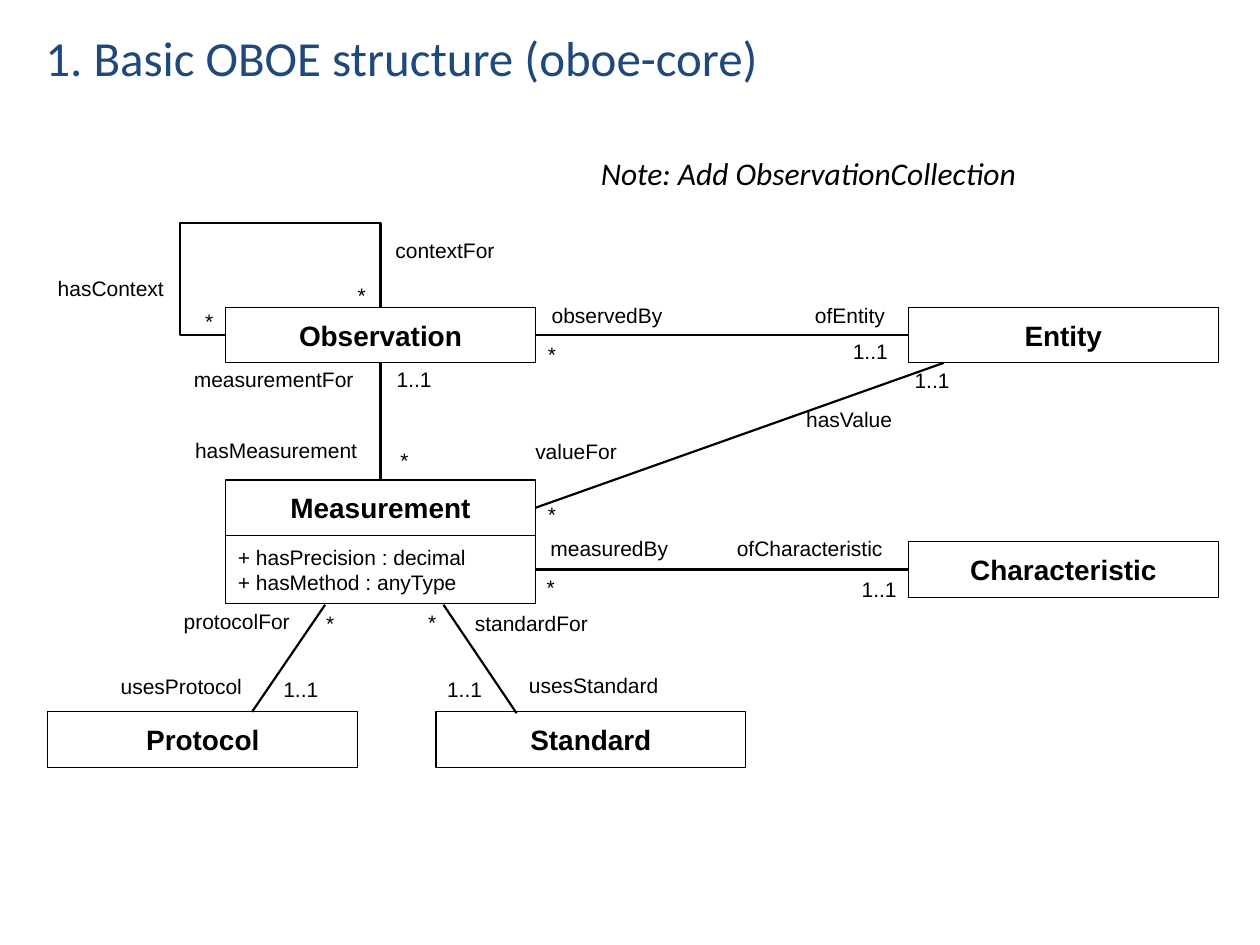
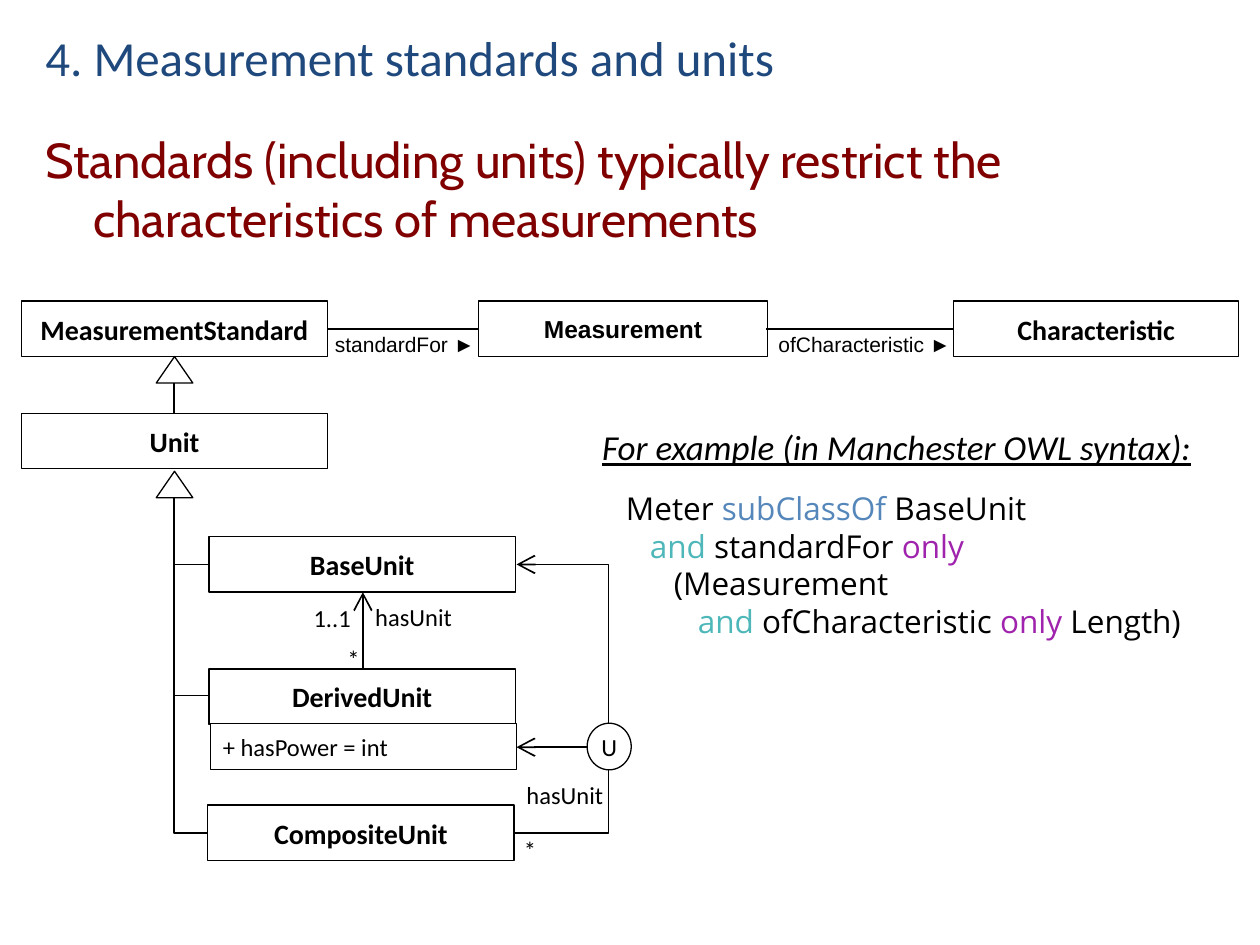
"""Build two class-diagram slides about the OBOE observation model."""
from dataclasses import dataclass
from typing import NamedTuple

from lxml.etree import SubElement
from pptx import Presentation
from pptx.dml.color import RGBColor
from pptx.enum.shapes import MSO_CONNECTOR, MSO_SHAPE
from pptx.enum.text import MSO_ANCHOR, MSO_AUTO_SIZE, PP_ALIGN
from pptx.oxml.ns import qn
from pptx.shapes.autoshape import Shape
from pptx.slide import Slide
from pptx.util import Inches, Pt


class TextStyle(NamedTuple):
    font: str
    size: int
    color: str = "000000"
    bold: bool = False
    italic: bool = False
    underline: bool = False


@dataclass(frozen=True)
class Theme:
    ink: str = "000000"
    paper: str = "FFFFFF"
    subclass: str = "5587BB"
    conjunction: str = "4EB7B9"
    restriction: str = "9F23AC"
    outline: float = 0.75
    title: TextStyle = TextStyle("Calibri", 28, "1F497D")
    statement: TextStyle = TextStyle("Cabin", 28, "800000")
    note: TextStyle = TextStyle("Calibri", 18, italic=True)
    arial_class: TextStyle = TextStyle("Arial", 16, bold=True)
    small_class: TextStyle = TextStyle("Arial", 14, bold=True)
    calibri_class: TextStyle = TextStyle("Calibri", 16, bold=True)
    arial_label: TextStyle = TextStyle("Arial", 12)
    calibri_label: TextStyle = TextStyle("Calibri", 14)
    example: TextStyle = TextStyle("Calibri", 20, italic=True, underline=True)
    syntax: TextStyle = TextStyle("Open Sans", 18)


THEME = Theme()
CLASS_HEIGHT = 0.44


class Box(NamedTuple):
    text: str
    left: float
    top: float
    width: float
    style: TextStyle
    height: float = CLASS_HEIGHT
    align: PP_ALIGN = PP_ALIGN.CENTER
    shape: MSO_SHAPE = MSO_SHAPE.RECTANGLE
    side_inset: float = 0.1


class Label(NamedTuple):
    text: str
    left: float
    top: float
    width: float


class Link(NamedTuple):
    start: tuple[float, float]
    end: tuple[float, float]
    preset: str = "line"
    adjustments: tuple[int, ...] = ()
    arrow: str = ""


class Span(NamedTuple):
    text: str
    color: str = THEME.ink


CORE_CLASSES = [
    Box(name, left, top, 2.46, THEME.arial_class)
    for name, left, top in [
        ("Entity", 7.21, 2.44),
        ("Characteristic", 7.21, 4.3),
        ("Observation", 1.79, 2.44),
        ("Measurement", 1.79, 3.81),
        ("Protocol", 0.38, 5.65),
        ("Standard", 3.46, 5.65),
    ]
] + [
    Box("+ hasPrecision : decimal\n+ hasMethod : anyType", 1.79, 4.25, 2.46,
        THEME.arial_label, 0.54, PP_ALIGN.LEFT),
]
CORE_LINKS = [
    Link((4.25, 4.52), (7.21, 4.52)),
    Link((3.02, 3.81), (3.02, 2.88)),
    Link((3.52, 4.8), (4.1, 5.66)),
    Link((2.58, 4.8), (2, 5.65)),
    Link((1.79, 2.66), (3.02, 2.44), "bentConnector4", (-29300, 404500)),
    Link((4.25, 2.66), (7.21, 2.66)),
    Link((4.25, 4.03), (7.49, 2.88)),
]
CORE_LABELS = [
    Label("measurementFor", 1.44, 2.86, 1.48),
    Label("hasMeasurement", 1.45, 3.42, 1.5),
    Label("ofCharacteristic", 5.75, 4.2, 1.37),
    Label("usesProtocol", 0.86, 5.3, 1.17),
    Label("usesStandard", 4.1, 5.29, 1.24),
    Label("ofEntity", 6.37, 2.35, 0.76),
    Label("hasContext", 0.36, 2.14, 1.05),
    Label("hasValue", 6.3, 3.18, 0.89),
    Label("standardFor", 3.67, 4.8, 1.11),
    Label("protocolFor", 1.36, 4.78, 1.06),
    Label("valueFor", 4.15, 3.43, 0.86),
    Label("observedBy", 4.28, 2.35, 1.09),
    Label("contextFor", 3.04, 1.84, 1),
    Label("measuredBy", 4.27, 4.2, 1.15),
] + [
    Label("1..1", left, top, 0.48)
    for left, top in [(6.67, 2.64), (3.05, 2.86), (2.15, 5.32),
                      (3.45, 5.32), (6.74, 4.53), (7.16, 2.87)]
] + [
    Label("*", left, top, 0.27)
    for left, top in [(1.53, 2.4), (2.74, 2.19), (4.25, 2.66), (3.08, 3.5),
                      (3.3, 4.79), (2.49, 4.8), (4.25, 3.93), (4.24, 4.51)]
]

UNIT_CLASSES = [
    Box(name, left, top, 2.43, THEME.calibri_class)
    for name, left, top in [
        ("MeasurementStandard", 0.17, 2.39),
        ("Unit", 0.17, 3.28),
        ("BaseUnit", 1.66, 4.26),
        ("DerivedUnit", 1.66, 5.31),
        ("CompositeUnit", 1.65, 6.39),
    ]
] + [
    Box("+ hasPower = int", 1.67, 5.74, 2.43, THEME.calibri_label, 0.37, PP_ALIGN.LEFT),
    Box("Characteristic", 7.57, 2.39, 2.26, THEME.calibri_class),
    Box("Measurement", 3.8, 2.39, 2.29, THEME.small_class),
    Box("U", 4.66, 5.74, 0.35, THEME.calibri_label, 0.37,
        shape=MSO_SHAPE.OVAL, side_inset=0),
]
UNIT_LINKS = [
    Link((left, middle), (1.38, 3.95), "bentConnector2")
    for left, middle in [(1.66, 4.48), (1.66, 5.52), (1.65, 6.61)]
] + [
    Link((1.38, 3.04), (1.38, 3.28)),
    Link((2.88, 5.31), (2.88, 4.7), arrow="tailEnd"),
    Link((4.08, 6.61), (4.83, 6.11), "bentConnector2"),
    Link((4.66, 5.93), (4.1, 5.93), arrow="tailEnd"),
    Link((4.1, 4.48), (4.83, 5.74), "bentConnector2", arrow="headEnd"),
    Link((2.6, 2.61), (3.8, 2.61)),
    Link((6.08, 2.61), (7.57, 2.61)),
]
UNIT_LABELS = [
    Label("hasUnit", 2.88, 4.73, 1.24),
    Label("1..1", 2.39, 4.74, 0.65),
    Label("*", 2.66, 5.06, 0.26),
    Label("hasUnit", 4.08, 6.14, 1.06),
    Label("*", 4.06, 6.58, 0.51),
]
DIRECTION_LABELS = [
    Label("standardFor ►", 2.56, 2.58, 1.32),
    Label("ofCharacteristic ►", 6.08, 2.58, 1.58),
]
SYNTAX_LINES = [
    [Span("Meter "), Span("subClassOf ", THEME.subclass), Span("BaseUnit")],
    [Span("and ", THEME.conjunction), Span("standardFor "), Span("only", THEME.restriction)],
    [Span("(Measurement")],
    [Span("and ", THEME.conjunction), Span("ofCharacteristic "),
     Span("only", THEME.restriction), Span(" Length)")],
]


def apply_style(font, style: TextStyle) -> None:
    font.name = style.font
    font.size = Pt(style.size)
    font.bold = style.bold
    font.italic = style.italic
    font.underline = style.underline
    font.color.rgb = RGBColor.from_string(style.color)


def place(shape: Shape, left: float, top: float, width: float, height: float) -> None:
    shape.left, shape.top = Inches(left), Inches(top)
    shape.width, shape.height = Inches(width), Inches(height)


def add_page(deck, layout_index: int, title: str) -> Slide:
    page = deck.slides.add_slide(deck.slide_layouts[layout_index])
    heading = page.shapes.title
    place(heading, 0.26, 0.14, 9.48, 0.63)
    heading.text_frame.text = title
    heading.text_frame.vertical_anchor = MSO_ANCHOR.MIDDLE
    heading.text_frame.auto_size = MSO_AUTO_SIZE.NONE
    para = heading.text_frame.paragraphs[0]
    para.alignment = PP_ALIGN.LEFT
    apply_style(para.font, THEME.title)
    return page


def add_outline(page: Slide, kind: MSO_SHAPE, *bounds: float) -> Shape:
    shape = page.shapes.add_shape(kind, *map(Inches, bounds))
    shape.shadow.inherit = False
    shape.fill.background()
    shape.line.color.rgb = RGBColor.from_string(THEME.ink)
    shape.line.width = Pt(THEME.outline)
    return shape


def add_box(page: Slide, box: Box) -> None:
    shape = add_outline(page, box.shape, box.left, box.top, box.width, box.height)
    shape.fill.solid()
    shape.fill.fore_color.rgb = RGBColor.from_string(THEME.paper)
    frame = shape.text_frame
    frame.margin_left = frame.margin_right = Inches(box.side_inset)
    frame.vertical_anchor = MSO_ANCHOR.MIDDLE
    frame.text = box.text
    for para in frame.paragraphs:
        para.alignment = box.align
        apply_style(para.font, box.style)


def add_link(page: Slide, link: Link, width: float) -> None:
    connector = page.shapes.add_connector(
        MSO_CONNECTOR.STRAIGHT, *map(Inches, link.start + link.end))
    connector.line.color.rgb = RGBColor.from_string(THEME.ink)
    connector.line.width = Pt(width)
    properties = connector.element.spPr
    geometry = properties.find(qn("a:prstGeom"))
    geometry.set("prst", link.preset)
    for number, value in enumerate(link.adjustments, 1):
        SubElement(geometry.find(qn("a:avLst")), qn("a:gd"),
                   name=f"adj{number}", fmla=f"val {value}")
    if link.arrow:
        SubElement(properties.find(qn("a:ln")), qn(f"a:{link.arrow}"),
                   type="arrow", w="lg", len="lg")
    SubElement(properties, qn("a:effectLst"))


def add_label(page: Slide, label: Label, style: TextStyle,
              height: float = 0.3, wrap: bool = False) -> Shape:
    shape = page.shapes.add_textbox(
        *map(Inches, (label.left, label.top, label.width, height)))
    shape.text_frame.word_wrap = wrap
    shape.text_frame.auto_size = MSO_AUTO_SIZE.SHAPE_TO_FIT_TEXT
    shape.text_frame.text = label.text
    apply_style(shape.text_frame.paragraphs[0].font, style)
    return shape


def add_diagram(page: Slide, boxes: list[Box], links: list[Link], line_width: float) -> None:
    for box in boxes:
        add_box(page, box)
    for link in links:
        add_link(page, link, line_width)


def build_core_page(deck) -> None:
    page = add_page(deck, 5, "1. Basic OBOE structure (oboe-core)")
    add_diagram(page, CORE_CLASSES, CORE_LINKS, 1.25)
    for label in CORE_LABELS:
        add_label(page, label, THEME.arial_label)
    add_label(page, Label("Note: Add ObservationCollection", 4.67, 1.17, 3.57), THEME.note, 0.4)


def add_statement(page: Slide, text: str) -> None:
    body = page.placeholders[1]
    place(body, 0.26, 0.98, 9.48, 6.14)
    body.text_frame.text = text
    body.text_frame.auto_size = MSO_AUTO_SIZE.NONE
    para = body.text_frame.paragraphs[0]
    para.space_after = Pt(12)
    apply_style(para.font, THEME.statement)
    properties = para._p.get_or_add_pPr()
    properties.set("marL", str(Inches(0.38)))
    properties.set("indent", str(Inches(-0.38)))
    properties.insert_element_before(
        SubElement(properties, qn("a:buNone")), "a:tabLst", "a:defRPr", "a:extLst")


def add_example(page: Slide) -> None:
    heading = Label("For example (in Manchester OWL syntax):", 4.68, 3.33, 5.24)
    frame = add_label(page, heading, THEME.example, 1.85).text_frame
    frame.paragraphs[0].space_after = Pt(12)
    for level, spans in enumerate(SYNTAX_LINES, 1):
        para = frame.add_paragraph()
        para._p.get_or_add_pPr().set("marL", str(Inches(0.19) * level))
        for span in spans:
            run = para.add_run()
            run.text = span.text
            apply_style(run.font, THEME.syntax._replace(color=span.color))


def build_units_page(deck) -> None:
    page = add_page(deck, 1, "4. Measurement standards and units")
    add_statement(page, "Standards (including units) typically restrict "
                        "the characteristics of measurements")
    add_diagram(page, UNIT_CLASSES, UNIT_LINKS, 1)
    for top in (2.83, 3.74):
        add_outline(page, MSO_SHAPE.ISOSCELES_TRIANGLE, 1.24, top, 0.29, 0.21)
    for label in UNIT_LABELS:
        add_label(page, label, THEME.calibri_label, 0.34, wrap=True)
    for label in DIRECTION_LABELS:
        add_label(page, label, THEME.arial_label)
    add_example(page)


def main() -> None:
    deck = Presentation()
    deck.slide_width, deck.slide_height = Inches(10), Inches(7.5)
    build_core_page(deck)
    build_units_page(deck)
    deck.save("out.pptx")


if __name__ == "__main__":
    main()
